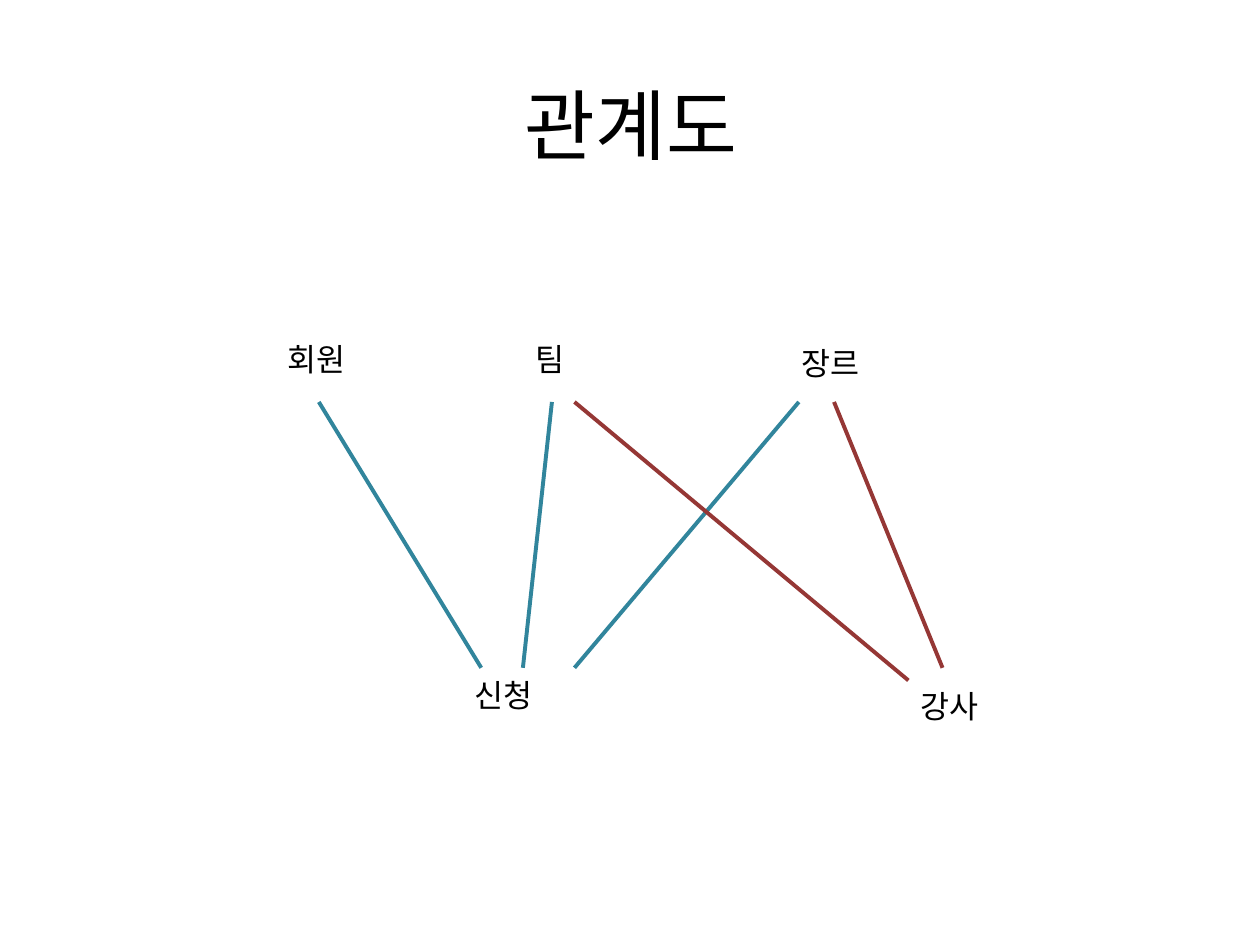
from dataclasses import dataclass

from lxml import etree
from pptx import Presentation
from pptx.dml.color import RGBColor
from pptx.enum.shapes import MSO_CONNECTOR
from pptx.enum.text import MSO_ANCHOR, MSO_AUTO_SIZE, PP_ALIGN
from pptx.oxml.ns import qn
from pptx.util import Pt

STRAIGHT = MSO_CONNECTOR.STRAIGHT
MIDDLE, TOP = MSO_ANCHOR.MIDDLE, MSO_ANCHOR.TOP
CENTER, LEFT = PP_ALIGN.CENTER, PP_ALIGN.LEFT
FIT_SHAPE, NO_FIT = MSO_AUTO_SIZE.SHAPE_TO_FIT_TEXT, MSO_AUTO_SIZE.NONE
TITLE_ONLY = 5


@dataclass(frozen=True)
class Theme:
    """Colours, font and sizes of the slide."""
    font: str = "Noto Sans CJK KR"
    text: str = "000000"
    application: str = "31859C"
    instructor: str = "953735"
    title_size: float = 44
    entity_size: float = 18
    line_width: float = 2.25


THEME = Theme()

TITLE = "관계도"
TITLE_BOX = (36.7, 25.9, 648, 90)

# Entity name, left, top, width
ENTITIES = [
    ("신청", 264.2, 383, 51),
    ("장르", 450.7, 193, 51),
    ("팀", 298.8, 190.8, 32.4),
    ("강사", 519.1, 388.8, 51),
    ("회원", 157, 190.8, 51),
]
ENTITY_HEIGHT = 29

# Links run from the upper row of entities down to the lower row
LINK_TOP, LINK_BOTTOM = 229.7, 381.6
# Colour, then start x, end x and end y of each link
RELATIONS = [
    (THEME.application, [(182.2, 275, LINK_BOTTOM),
                         (315.4, 298.8, LINK_BOTTOM),
                         (456.5, 328.3, LINK_BOTTOM)]),
    (THEME.instructor, [(476.6, 538.6, LINK_BOTTOM),
                        (328.3, 519.1, 388.8)]),
]


def write_text(shape, text, *, size, align=LEFT, anchor=TOP, wrap=False, fit=FIT_SHAPE):
    """Put formatted text into a shape."""
    frame = shape.text_frame
    frame.word_wrap, frame.auto_size, frame.vertical_anchor = wrap, fit, anchor
    paragraph = frame.paragraphs[0]
    paragraph.alignment = align
    run = paragraph.add_run()
    run.text = text
    run.font.name, run.font.size = THEME.font, Pt(size)
    run.font.color.rgb = RGBColor.from_string(THEME.text)
    east_asian = etree.SubElement(run.font._element, qn("a:ea"))
    east_asian.set("typeface", THEME.font)


def add_title(slide):
    """Place and fill the title placeholder."""
    title = slide.shapes.title
    title.left, title.top, title.width, title.height = map(Pt, TITLE_BOX)
    write_text(title, TITLE, size=THEME.title_size, align=CENTER,
               anchor=MIDDLE, wrap=True, fit=NO_FIT)


def add_entity(slide, name, left, top, width):
    """Add the label of one entity."""
    label = slide.shapes.add_textbox(*map(Pt, (left, top, width, ENTITY_HEIGHT)))
    write_text(label, name, size=THEME.entity_size)


def add_link(slide, color, start_x, end_x, end_y):
    """Draw one relation between two entities."""
    ends = map(Pt, (start_x, LINK_TOP, end_x, end_y))
    link = slide.shapes.add_connector(STRAIGHT, *ends)
    link.line.color.rgb = RGBColor.from_string(color)
    link.line.width = Pt(THEME.line_width)
    etree.SubElement(link._element.spPr, qn("a:effectLst"))


def main():
    """Build and save the slide."""
    deck = Presentation()
    deck.slide_width, deck.slide_height = Pt(720), Pt(540)
    slide = deck.slides.add_slide(deck.slide_layouts[TITLE_ONLY])
    add_title(slide)
    for entity in ENTITIES:
        add_entity(slide, *entity)
    for color, links in RELATIONS:
        for link in links:
            add_link(slide, color, *link)
    deck.save("out.pptx")


main()
